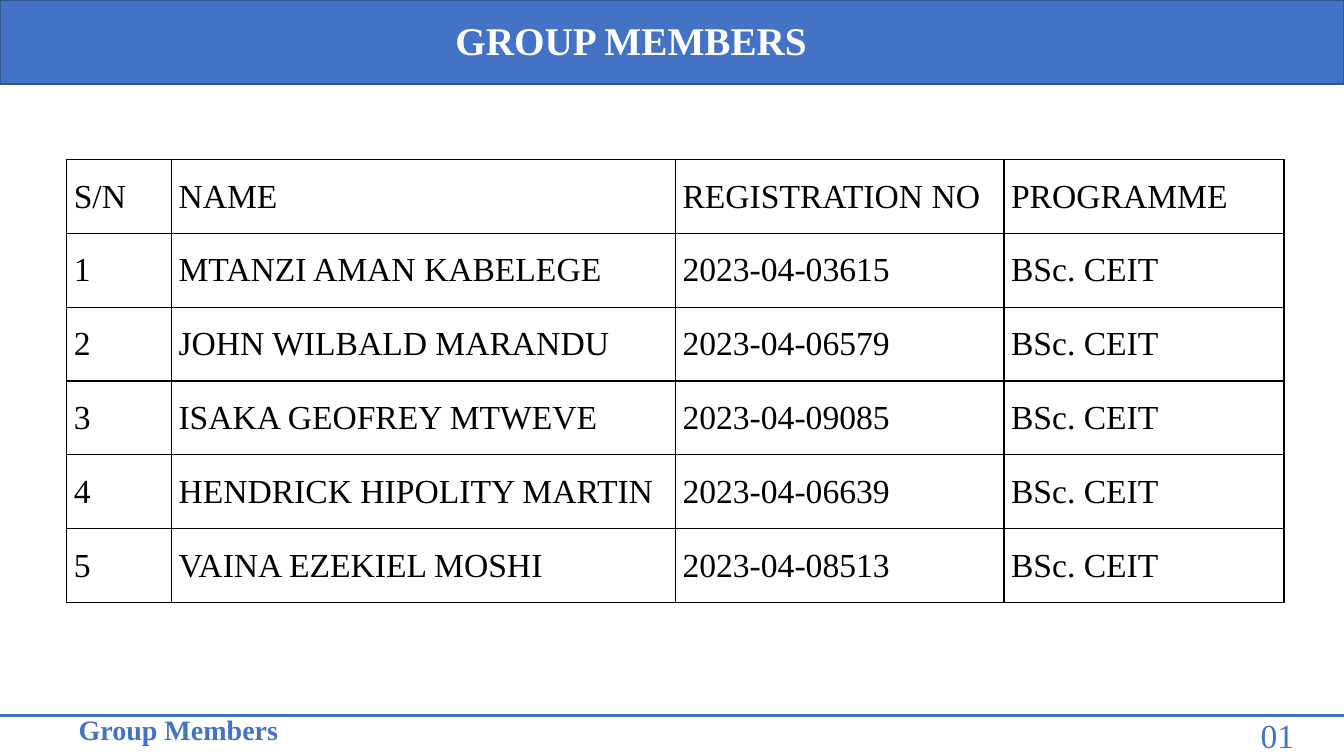
import pptx
import pptx.util
import pptx.dml.color
import pptx.enum.shapes
import pptx.enum.text
import pptx.oxml
import pptx.oxml.ns
import lxml.etree
from pptx.util import Cm

BLUE = "4472C4"
DARK_BLUE = "325491"
WHITE = "FFFFFF"
BLACK = "000000"
SLIDE_WIDTH = 33.87
SLIDE_HEIGHT = 19.05
HEADINGS = ["S/N", "NAME", "REGISTRATION NO", "PROGRAMME"]
MEMBERS = [
    ("MTANZI AMAN KABELEGE", "2023-04-03615"),
    ("JOHN WILBALD MARANDU", "2023-04-06579"),
    ("ISAKA GEOFREY MTWEVE", "2023-04-09085"),
    ("HENDRICK HIPOLITY MARTIN", "2023-04-06639"),
    ("VAINA EZEKIEL MOSHI", "2023-04-08513"),
]
PROGRAMME = "BSc. CEIT"


def color(value):
    return pptx.dml.color.RGBColor.from_string(value)


def write(text_frame, text, size=24, fill=BLACK, bold=False, spacing=1.0, font="Times New Roman"):
    paragraph = text_frame.paragraphs[0]
    paragraph.line_spacing = spacing
    run = paragraph.add_run()
    run.text = text
    run.font.name = font
    run.font.size = pptx.util.Pt(size)
    run.font.bold = bold
    run.font.color.rgb = color(fill)


class SlideBuilder:
    def __init__(self, slide, border=BLACK, border_width=1):
        self.slide = slide
        self.border = border
        self.border_width = border_width

    def rectangle(self, left, top, width, height, fill, line):
        shape = self.slide.shapes.add_shape(
            pptx.enum.shapes.MSO_SHAPE.RECTANGLE, Cm(left), Cm(top), Cm(width), Cm(height))
        shape.shadow.inherit = False
        shape.fill.solid()
        shape.fill.fore_color.rgb = color(fill)
        shape.line.color.rgb = color(line)
        shape.line.width = pptx.util.Pt(1)

    def line(self, left, top, right, bottom, fill, width):
        connector = self.slide.shapes.add_connector(
            pptx.enum.shapes.MSO_CONNECTOR.STRAIGHT, Cm(left), Cm(top), Cm(right), Cm(bottom))
        connector.line.color.rgb = color(fill)
        connector.line.width = pptx.util.Pt(width)
        lxml.etree.SubElement(connector._element.spPr, pptx.oxml.ns.qn("a:effectLst"))

    def text(self, left, top, width, height, text, **style):
        box = self.slide.shapes.add_textbox(Cm(left), Cm(top), Cm(width), Cm(height))
        box.text_frame.word_wrap = True
        box.text_frame.auto_size = pptx.enum.text.MSO_AUTO_SIZE.SHAPE_TO_FIT_TEXT
        write(box.text_frame, text, **style)

    def cell_borders(self, cell):
        properties = cell._tc.get_or_add_tcPr()
        for position, side in enumerate(("L", "R", "T", "B")):
            edge = pptx.oxml.parse_xml(
                f'<a:ln{side} {pptx.oxml.ns.nsdecls("a")} w="{int(pptx.util.Pt(self.border_width))}">'
                f'<a:solidFill><a:srgbClr val="{self.border}"/></a:solidFill></a:ln{side}>')
            properties.insert(position, edge)

    def table(self, left, top, column_widths, row_height, rows):
        table = self.slide.shapes.add_table(
            len(rows), len(column_widths), Cm(left), Cm(top),
            Cm(sum(column_widths)), Cm(row_height * len(rows))).table
        table.first_row = False
        table.horz_banding = False
        for column, width in zip(table.columns, column_widths):
            column.width = Cm(width)
        for row, values in zip(table.rows, rows):
            row.height = Cm(row_height)
            for cell, value in zip(row.cells, values):
                cell.margin_left = cell.margin_right = Cm(0.18)
                cell.margin_top = cell.margin_bottom = 0
                cell.fill.background()
                self.cell_borders(cell)
                write(cell.text_frame, value, spacing=1.5)


def main():
    presentation = pptx.Presentation()
    presentation.slide_width = Cm(SLIDE_WIDTH)
    presentation.slide_height = Cm(SLIDE_HEIGHT)
    builder = SlideBuilder(presentation.slides.add_slide(presentation.slide_layouts[6]))

    builder.rectangle(0, 0, SLIDE_WIDTH, 2.12, BLUE, DARK_BLUE)
    builder.line(0, 18.03, SLIDE_WIDTH, 18.03, BLUE, 1.5)
    builder.text(1.73, 17.83, 5.92, 1.11, "Group Members", size=20, fill=BLUE, bold=True)
    builder.text(31.52, 17.88, 1.96, 1.28, "01", fill=BLUE)

    rows = [HEADINGS]
    for number, (name, registration) in enumerate(MEMBERS, start=1):
        rows.append([str(number), name, registration, PROGRAMME])
    builder.table(1.68, 4.02, [2.64, 12.7, 8.28, 7.06], 1.86, rows)

    builder.text(11.23, 0.28, 10.85, 1.45, "GROUP MEMBERS", size=28, fill=WHITE, bold=True)
    presentation.save("out.pptx")


if __name__ == "__main__":
    main()
